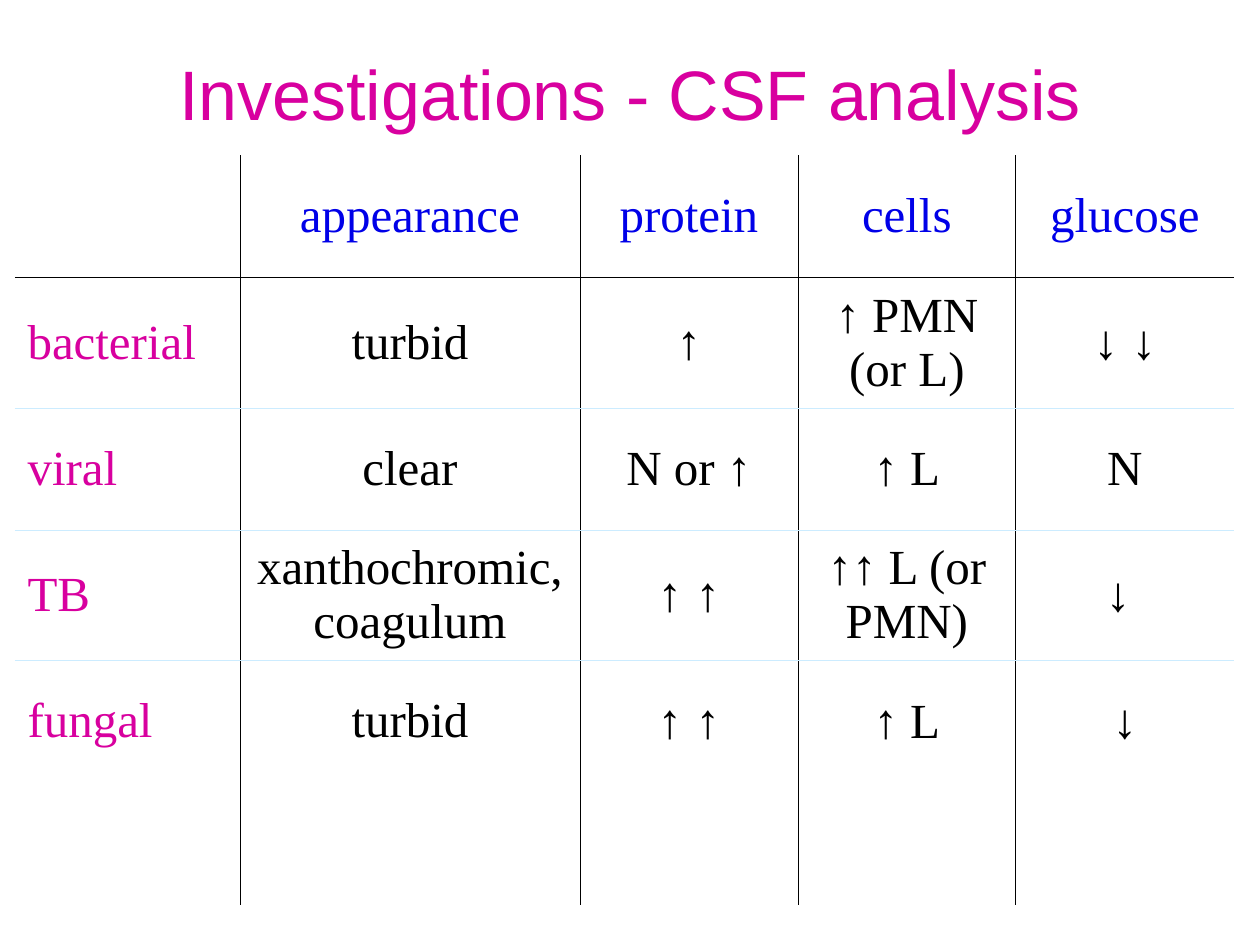
import itertools

import lxml.etree
import pptx
import pptx.dml.color
import pptx.enum.text
import pptx.oxml
import pptx.oxml.ns
import pptx.util

PINK, BLUE, BLACK, PALE = "D8009F", "0000E8", "000000", "CCECFF"
SANS, SERIF = "Arial", "Times New Roman"
ARROWS = "↑↓"
COLS = [225, 340, 218, 218, 218]
ROWS = [122, 131, 122, 130, 123, 122]
RULES = [None, BLACK, PALE, PALE, PALE, None, None]
CELLS = [
    ["", "appearance", "protein", "cells", "glucose"],
    ["bacterial", "turbid", "↑", "↑ PMN (or L)", "↓ ↓"],
    ["viral", "clear", "N or ↑", "↑ L", "N"],
    ["TB", "xanthochromic, coagulum", "↑ ↑", "↑↑ L (or PMN)", "↓ "],
    ["fungal", "turbid", "↑ ↑", "↑ L", "↓"],
    [""] * 5,
]


def px(n):
    return pptx.util.Emu(round(n * 914400 / 126))


def hue(code):
    return pptx.dml.color.RGBColor.from_string(code)


class Deck:
    """Holds the style and the current slide, and draws each kind of element."""

    def __init__(self, wide, high):
        self.show = pptx.Presentation()
        self.show.slide_width, self.show.slide_height = px(wide), px(high)
        self.slide = self.show.slides.add_slide(self.show.slide_layouts[6])

    def style(self, para, size, color, face=None, left=False):
        align = pptx.enum.text.PP_ALIGN
        para.alignment = align.LEFT if left else align.CENTER
        para.font.size = pptx.util.Pt(size)
        para.font.color.rgb = hue(color)
        if face:
            para.font.name = face

    def title(self, text, x, y, w, h):
        frame = self.slide.shapes.add_textbox(px(x), px(y), px(w), px(h)).text_frame
        frame.word_wrap = True
        frame.margin_top = px(13)
        para = frame.paragraphs[0]
        para.text = text
        self.style(para, 40, PINK, SANS)

    def edge(self, cell, colors):
        props = cell._tc.get_or_add_tcPr()
        for spot, (side, color) in enumerate(zip("LRTB", colors)):
            line = pptx.oxml.parse_xml(
                f'<a:ln{side} {pptx.oxml.ns.nsdecls("a")} w="5715"/>')
            tag = pptx.oxml.ns.qn("a:solidFill" if color else "a:noFill")
            fill = lxml.etree.SubElement(line, tag)
            if color:
                lxml.etree.SubElement(fill, pptx.oxml.ns.qn("a:srgbClr"), val=color)
            props.insert(spot, line)

    def fill(self, cell, text, color, left):
        cell.fill.background()
        cell.vertical_anchor = pptx.enum.text.MSO_ANCHOR.MIDDLE
        if not text:
            return
        para = cell.text_frame.paragraphs[0]
        marks = [char in ARROWS for char in text.replace(" ", "")]
        if all(marks) or not any(marks):
            para.text = text
            self.style(para, 28, color, SANS if all(marks) else SERIF, left)
            return
        self.style(para, 28, color, left=left)
        for mark, part in itertools.groupby(text, lambda char: char in ARROWS):
            run = para.add_run()
            run.text = "".join(part)
            run.font.name = SANS if mark else SERIF

    def table(self, cells, x, y):
        table = self.slide.shapes.add_table(
            len(ROWS), len(COLS), px(x), px(y), px(sum(COLS)), px(sum(ROWS))).table
        table.first_row = table.horz_banding = False
        for col, wide in zip(table.columns, COLS):
            col.width = px(wide)
        for row, high in zip(table.rows, ROWS):
            row.height = px(high)
        bars = [None] + [BLACK] * (len(COLS) - 1) + [None]
        for r, line in enumerate(cells):
            for c, text in enumerate(line):
                cell = table.cell(r, c)
                color = BLUE if r == 0 else PINK if c == 0 else BLACK
                self.fill(cell, text, color, c == 0)
                self.edge(cell, bars[c:c + 2] + RULES[r:r + 2])


def main():
    deck = Deck(1260, 945)
    deck.table(CELLS, 15, 155)
    deck.title("Investigations - CSF analysis", 63, 38, 1134, 117)
    deck.show.save("out.pptx")


if __name__ == "__main__":
    main()
